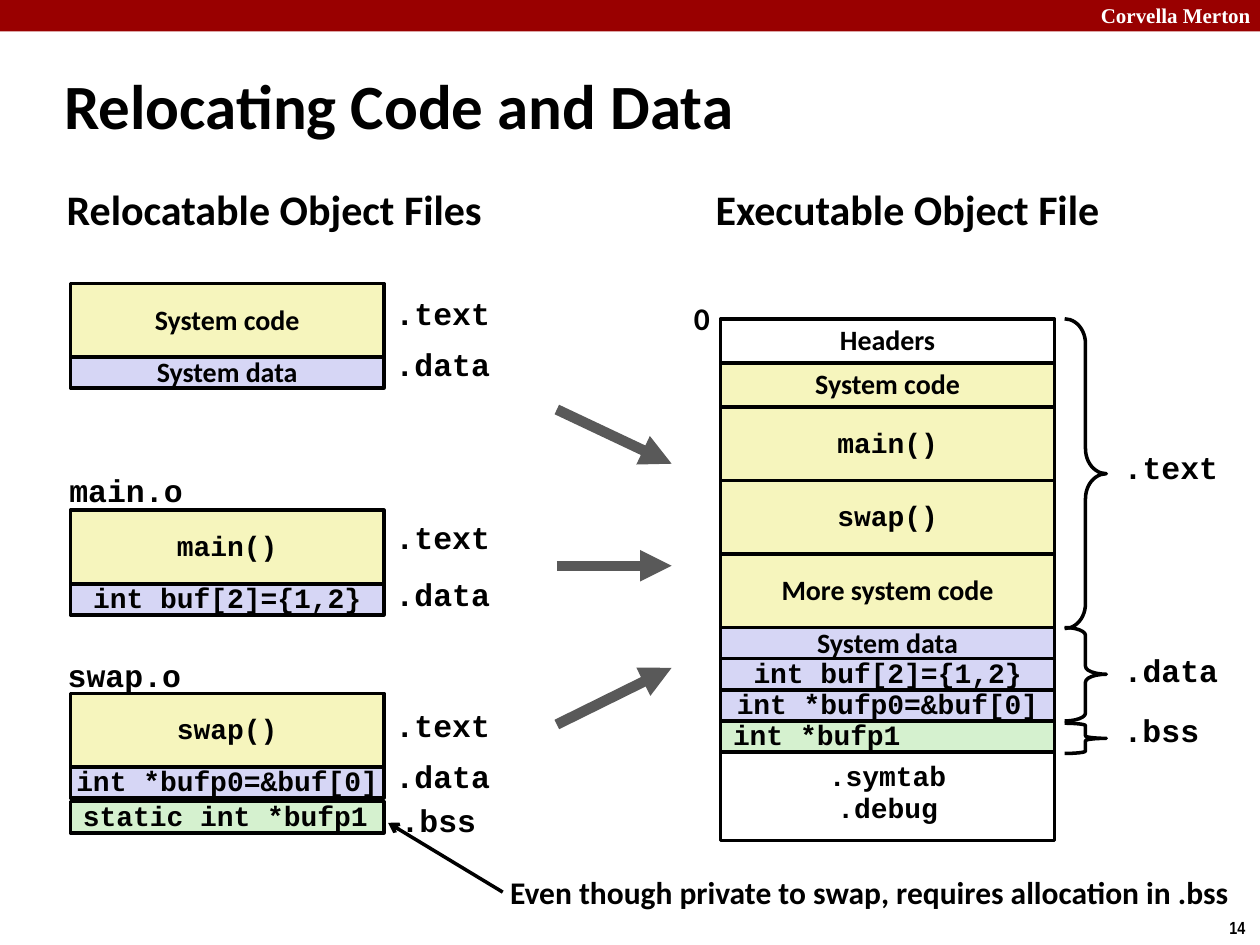
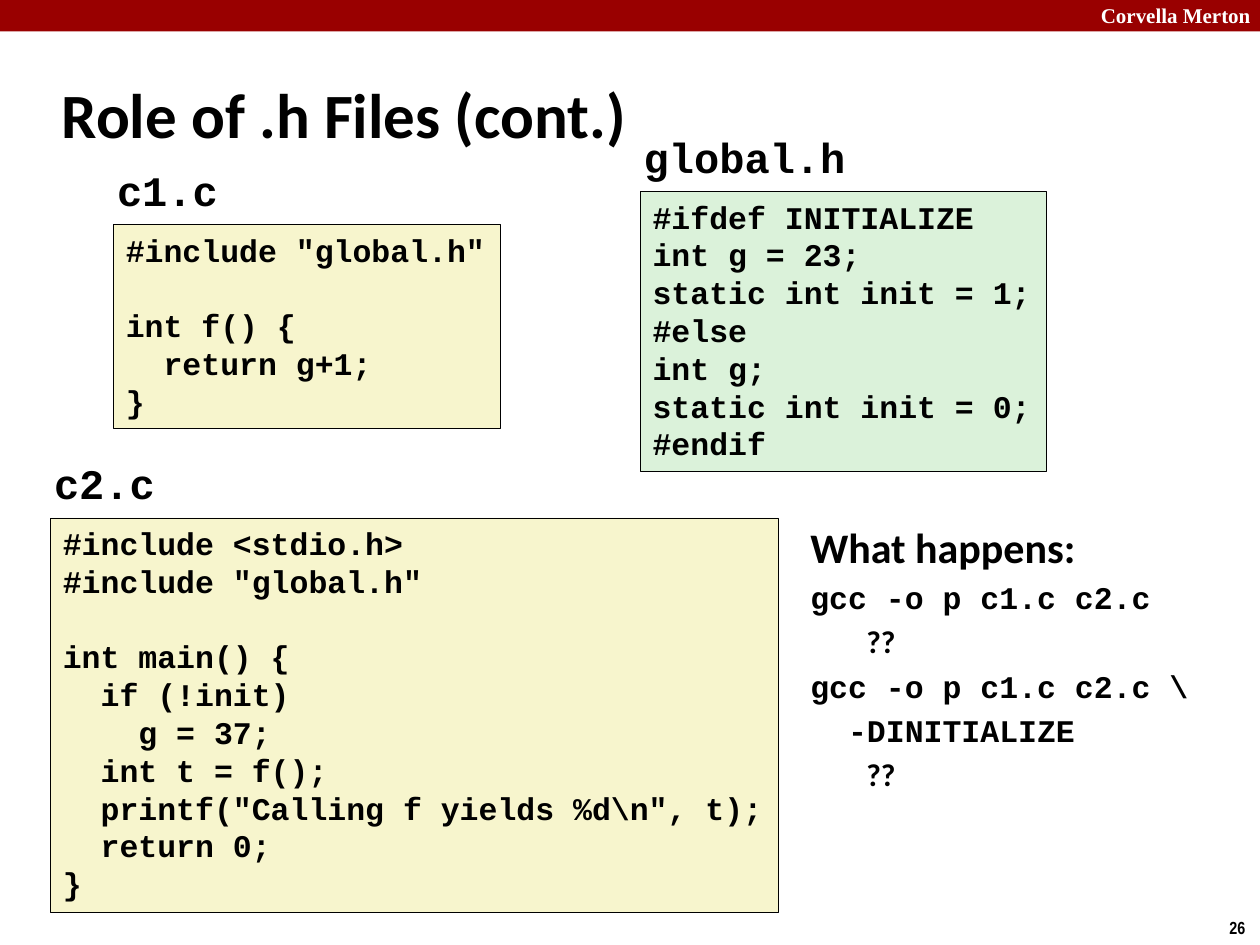
from lxml.etree import SubElement
from pptx import Presentation
from pptx.dml.color import RGBColor
from pptx.enum.shapes import MSO_CONNECTOR, MSO_SHAPE
from pptx.enum.text import MSO_ANCHOR, MSO_AUTO_SIZE, PP_ALIGN
from pptx.oxml.ns import qn
from pptx.util import Pt

COLORS = {
    "band": "990000", "ink": "000000", "white": "FFFFFF", "arrow": "595959",
    "code": "F6F5BD", "data": "D6D6F5", "bss": "D5F1CF",
    "source": "F7F5CD", "header": "DBF2DA",
}
SANS, MONO = "Calibri", "Courier New"
LEFT, CENTER = PP_ALIGN.LEFT, PP_ALIGN.CENTER
CODE_LINE = 21.6   # line height of 18 pt code
CHAR = 10.8        # width of one 18 pt code character


def color(name):
    return RGBColor.from_string(COLORS[name])


class Deck:
    def __init__(self):
        self.prs = Presentation()
        self.prs.slide_width, self.prs.slide_height = Pt(720), Pt(540)
        self.slide = None

    def page(self, layout, number, title, box):
        """Start a slide with its band, owner, number and title."""
        self.slide = self.prs.slides.add_slide(self.prs.slide_layouts[layout])
        self.shape(MSO_SHAPE.RECTANGLE, (0, 0, 720, 18), "band")
        self.text((622, -2.2, 103, 21.6), "Corvella Merton", 12,
                  "Times New Roman", tint="white")
        self.text((695.5, 520.6, 24.5, 19.4), number, 10, "Arial Narrow")
        head = self.slide.shapes.title
        self.place(head, box)
        head.text_frame.vertical_anchor = MSO_ANCHOR.MIDDLE
        self.fill(head.text_frame, [title], 36)

    def place(self, shape, box):
        shape.left, shape.top, shape.width, shape.height = map(Pt, box)

    def style(self, para, size, font=SANS, align=LEFT, space=None, tint="ink"):
        para.alignment = align
        if space:
            para.line_spacing = space
        para.font.size, para.font.name, para.font.bold = Pt(size), font, True
        para.font.color.rgb = color(tint)

    def fill(self, frame, lines, *style, **more):
        frame.auto_size = MSO_AUTO_SIZE.NONE
        for i, line in enumerate(lines):
            para = frame.add_paragraph() if i else frame.paragraphs[0]
            para.text = line
            self.style(para, *style, **more)

    def text(self, box, words, size, font=SANS, **more):
        item = self.slide.shapes.add_textbox(*map(Pt, box))
        item.text_frame.word_wrap = False
        self.fill(item.text_frame, [words], size, font, **more)

    def shape(self, kind, box, fill=None, line=None):
        item = self.slide.shapes.add_shape(kind, *map(Pt, box))
        item.shadow.inherit = False
        if fill:
            item.fill.solid()
            item.fill.fore_color.rgb = color(fill)
        else:
            item.fill.background()
        if line:
            item.line.color.rgb = color("ink")
            item.line.width = Pt(line)
        else:
            item.line.fill.background()
        return item

    def stack(self, left, top, width, cells):
        """Pile memory cells of (height, fill, font, align, lines)."""
        for height, fill, font, align, *lines in cells:
            cell = self.shape(MSO_SHAPE.RECTANGLE, (left, top, width, height),
                              fill, 2)
            frame = cell.text_frame
            frame.word_wrap = False
            frame.vertical_anchor = MSO_ANCHOR.MIDDLE
            self.fill(frame, lines, 16, font, align,
                      space=0.94 if font == MONO else 0.98)
            top += height

    def brace(self, top, height, bend):
        item = self.shape(MSO_SHAPE.RIGHT_BRACE, (608.4, top, 23.8, height),
                          line=2)
        item.adjustments[0], item.adjustments[1] = bend, 0.5

    def arrow(self, start, end, tint, width, head):
        item = self.slide.shapes.add_connector(
            MSO_CONNECTOR.STRAIGHT, *map(Pt, start + end))
        item.line.color.rgb = color(tint)
        item.line.width = Pt(width)
        props = item._element.spPr
        SubElement(props.find(qn("a:ln")), qn("a:tailEnd"), type=head)
        SubElement(props, qn("a:effectLst"))

    def listing(self, box, fill, code):
        """Show code; indents and empty lines become paragraph spacing."""
        frame = self.shape(MSO_SHAPE.RECTANGLE, box, fill, 0.25).text_frame
        frame.word_wrap = False
        frame.vertical_anchor = MSO_ANCHOR.TOP
        para, gap = frame.paragraphs[0], 0
        for line in code.strip().split("\n"):
            if not line:
                gap = CODE_LINE
                continue
            if para.text:
                para = frame.add_paragraph()
            para.text = line.lstrip()
            self.indent(para, (len(line) - len(para.text)) * CHAR)
            self.style(para, 18, MONO, space=Pt(CODE_LINE))
            para.space_before, gap = Pt(gap), 0

    def indent(self, para, left):
        props = para._p.get_or_add_pPr()
        props.set("marL", str(Pt(left)))
        props.set("indent", "0")
        return props

    def body(self, box, rows):
        """Fill the body placeholder with (words, size, font, indent)."""
        item = self.slide.placeholders[1]
        self.place(item, box)
        frame = item.text_frame
        frame.auto_size = MSO_AUTO_SIZE.NONE
        for i, (words, size, font, left) in enumerate(rows):
            para = frame.add_paragraph() if i else frame.paragraphs[0]
            para.text = words
            SubElement(self.indent(para, left), qn("a:buNone"))
            self.style(para, size, font, space=Pt(CODE_LINE) if i else 1.0)
            para.space_before = Pt(3.6 if i else 0)


def relocating(deck):
    deck.page(5, "14", "Relocating Code and Data", (29.5, 36.7, 598.3, 45.4))
    deck.text((31, 103, 254.2, 36), "Relocatable Object Files", 24, space=0.98)
    deck.text((401.8, 103, 236.2, 36), "Executable Object File", 24, space=0.98)

    # Cells that appear on both sides
    main, swap = [(42, "code", MONO, CENTER, name) for name in ("main()", "swap()")]
    buf, ptr = [(17.8, "data", MONO, CENTER, name)
                for name in ("int buf[2]={1,2}", "int *bufp0=&buf[0]")]
    data = (17.8, "data", SANS, CENTER, "System data")

    # Object files
    for top, cells in (
        (162, [(42, "code", SANS, CENTER, "System code"), data]),
        (291.6, [main, buf]),
        (396.2, [swap, ptr]),
        (457.9, [(18, "bss", MONO, LEFT, "static int *bufp1")]),
    ):
        deck.stack(40.3, top, 179, cells)
    for left, top, name in ((32.4, 267.1, "main.o"), (31.5, 373, "swap.o")):
        deck.text((left, top, 79.2, 28), name, 18, MONO, align=CENTER, space=0.94)

    # Executable file
    deck.stack(411.8, 426.2, 190.8,
               [(54, "white", MONO, CENTER, ".symtab", ".debug")])
    deck.stack(411.8, 182.2, 190.8, [
        (25.2, "white", SANS, CENTER, "Headers"),
        (25.2, "code", SANS, CENTER, "System code"),
        main, swap,
        (42, "code", SANS, CENTER, "More system code"),
        data, buf, ptr,
        (17.8, "bss", MONO, LEFT, "int *bufp1"),
    ])
    deck.text((389.5, 168.5, 24.5, 28.8), "0", 18, space=0.98)
    for brace in ((182.2, 177, 0.6), (358.6, 53.4, 0.19), (413.3, 17.3, 0.08)):
        deck.brace(*brace)

    # Section names
    sections = {
        218.9: ((166.3, ".text"), (195.1, ".data"), (294.5, ".text"),
                (326.9, ".data"), (401.8, ".text"), (430.6, ".data")),
        221.8: ((455.8, ".bss"),),
        635: ((254.2, ".text"), (370.1, ".data"), (404.6, ".bss")),
    }
    for left, names in sections.items():
        for top, name in names:
            deck.text((left, top, len(name) * CHAR + 14.4, 28), name, 18, MONO,
                      space=0.94)

    # Arrows and remark
    for start, end in ((234, 265), (323.3, 323.3), (414, 381.6)):
        deck.arrow((318.2, start), (383.8, end), "arrow", 6, "triangle")
    deck.arrow((287.3, 509.8), (221.8, 470.2), "ink", 2, "arrow")
    deck.text((284.4, 495.4, 428.4, 28.8),
              "Even though private to swap, requires allocation in .bss", 18)


C1 = """
#include "global.h"

int f() {
  return g+1;
}
"""
GLOBAL = """
#ifdef INITIALIZE
int g = 23;
static int init = 1;
#else
int g;
static int init = 0;
#endif
"""
C2 = r"""
#include <stdio.h>
#include "global.h"

int main() {
  if (!init)
    g = 37;
  int t = f();
  printf("Calling f yields %d\n", t);
  return 0;
}
"""


def headers(deck):
    deck.page(1, "26", "Role of .h Files (cont.)", (28.1, 34.6, 597.6, 59.8))

    # Commands
    answer = ("??", 18, SANS, 32)
    deck.body((455.8, 294.5, 246.2, 204.5), [
        ("What happens:", 24, SANS, 0),
        ("gcc -o p c1.c c2.c", 18, MONO, 0),
        answer,
        ("gcc -o p c1.c c2.c \\", 18, MONO, 0),
        ("-DINITIALIZE", 18, MONO, 2 * CHAR),
        answer,
    ])

    # Source files, each with its name above
    for name, left, top, width, height, fill, code in (
        ("c1.c", 64.8, 128.2, 221, 116.6, "source", C1),
        ("global.h", 365.8, 109.4, 231.8, 159.8, "header", GLOBAL),
        ("c2.c", 28.8, 295.9, 416.2, 225.4, "source", C2),
    ):
        deck.listing((left, top, width, height), fill, code)
        deck.text((left - 5, top - 38, len(name) * 14.4 + 14.4, 36), name, 24, MONO)


def main():
    deck = Deck()
    relocating(deck)
    headers(deck)
    deck.prs.save("out.pptx")


if __name__ == "__main__":
    main()
